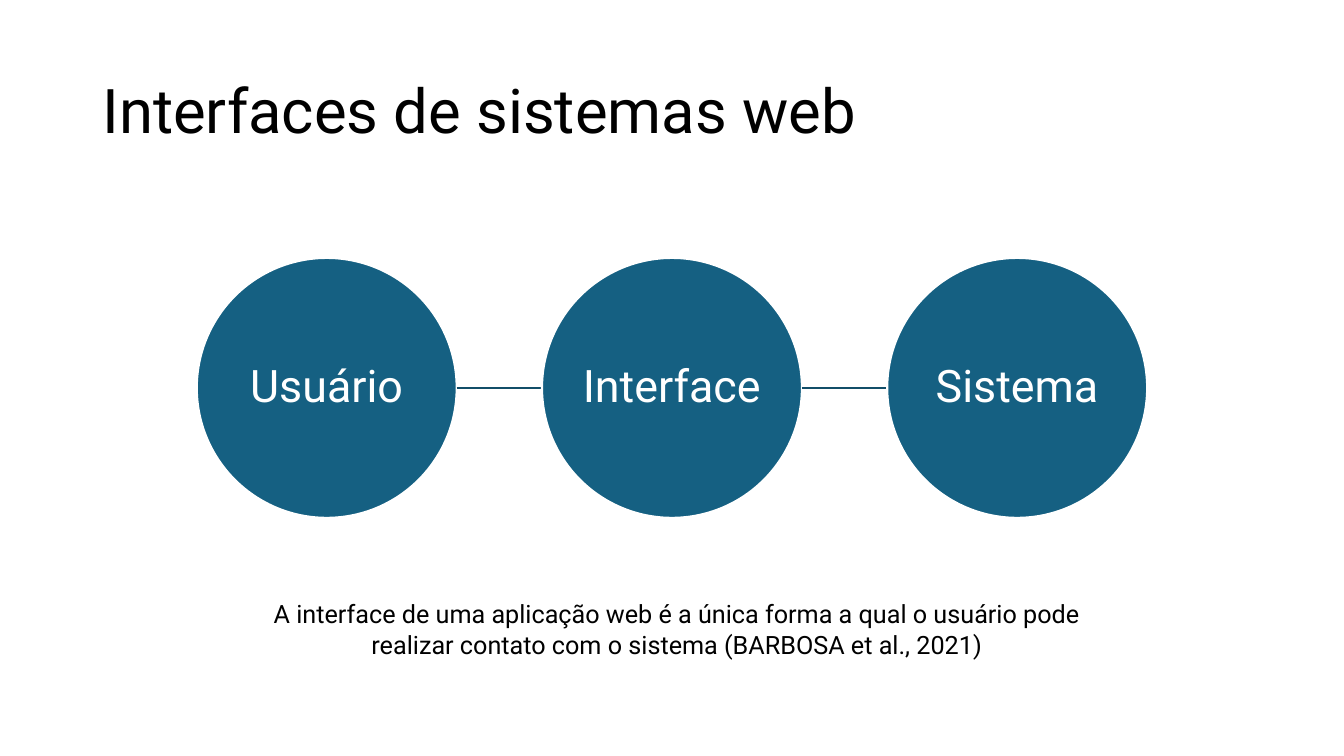
"""Build the slide on web system interfaces: user, interface and system in a chain."""
from lxml.etree import SubElement
from pptx import Presentation
from pptx.dml.color import RGBColor
from pptx.enum.shapes import MSO_CONNECTOR, MSO_SHAPE
from pptx.enum.text import MSO_ANCHOR, PP_ALIGN
from pptx.oxml.ns import qn
from pptx.util import Cm, Pt

BLACK = RGBColor(0x00, 0x00, 0x00)
WHITE = RGBColor(0xFF, 0xFF, 0xFF)
BLUE = RGBColor(0x15, 0x60, 0x82)
DARK_BLUE = RGBColor(0x11, 0x4D, 0x68)


def write(sp, text, size, color, align, spacing=1.0, anchor=MSO_ANCHOR.MIDDLE):
    tf = sp.text_frame
    tf.word_wrap = True
    tf.vertical_anchor = anchor
    tf.text = text
    p = tf.paragraphs[0]
    p.alignment = align
    p.line_spacing = spacing
    font = p.runs[0].font
    font.name = "Roboto"
    font.size = Pt(size)
    font.color.rgb = color


prs = Presentation()
prs.slide_width, prs.slide_height = Cm(33.87), Cm(19.05)
s = prs.slides.add_slide(prs.slide_layouts[6])

title = s.shapes.add_textbox(Cm(2.33), Cm(1.01), Cm(29.21), Cm(3.68))
write(title, "Interfaces de sistemas web", 44, BLACK, PP_ALIGN.LEFT, 0.9)

left, top, diameter, pitch = 4.96, 6.5, 6.55, 8.7
middle = top + diameter / 2
for i, label in enumerate(["Usuário", "Interface", "Sistema"]):
    x = left + i * pitch
    if i:
        link = s.shapes.add_connector(
            MSO_CONNECTOR.STRAIGHT,
            Cm(x - pitch + diameter), Cm(middle), Cm(x), Cm(middle))
        link.line.color.rgb = DARK_BLUE
        link.line.width = Pt(1.5)
        SubElement(link._element.spPr, qn("a:effectLst"))
    sp = s.shapes.add_shape(MSO_SHAPE.OVAL, Cm(x), Cm(top), Cm(diameter), Cm(diameter))
    sp.shadow.inherit = False
    sp.fill.solid()
    sp.fill.fore_color.rgb = BLUE
    sp.line.color.rgb = WHITE
    sp.line.width = Pt(1.5)
    write(sp, label, 32, WHITE, PP_ALIGN.CENTER, 0.9)
    tf = sp.text_frame
    tf.margin_left = tf.margin_right = tf.margin_top = tf.margin_bottom = Cm(0.05)

caption = s.shapes.add_textbox(Cm(6.2), Cm(14.96), Cm(21.72), Cm(1.8))
write(caption,
      "A interface de uma aplicação web é a única forma a qual o usuário pode "
      "realizar contato com o sistema (BARBOSA et al., 2021)",
      18, BLACK, PP_ALIGN.CENTER, anchor=MSO_ANCHOR.TOP)

prs.save("out.pptx")
